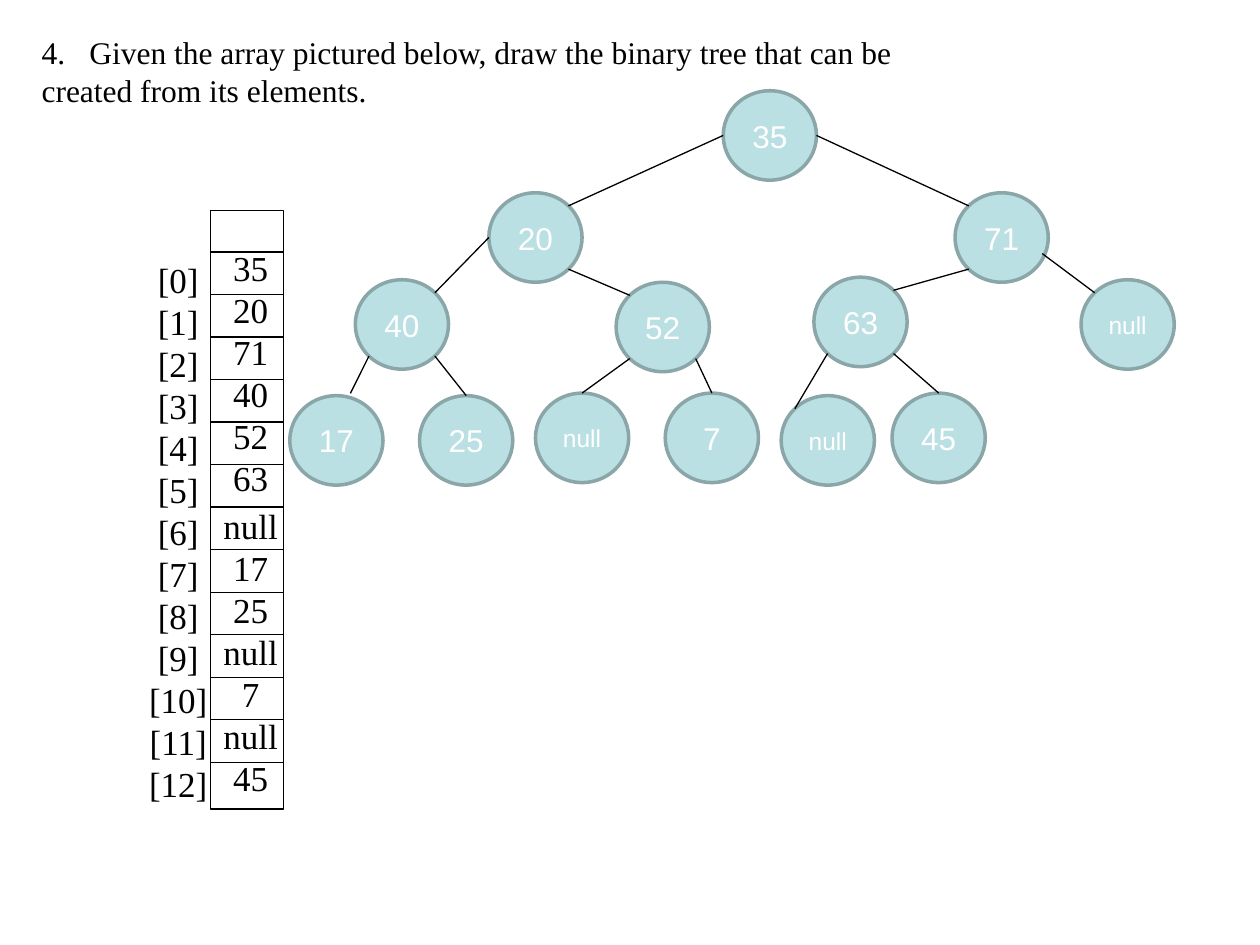
from dataclasses import dataclass
from math import sqrt

from lxml.etree import SubElement
from pptx import Presentation
from pptx.dml.color import RGBColor as Rgb
from pptx.enum.shapes import MSO_CONNECTOR as Connector, MSO_SHAPE as Shape
from pptx.enum.text import MSO_ANCHOR as Anchor, MSO_AUTO_SIZE as AutoSize, PP_ALIGN as Align
from pptx.oxml.ns import qn
from pptx.slide import Slide
from pptx.text.text import TextFrame, _Paragraph as Paragraph
from pptx.util import Inches, Pt


@dataclass(frozen=True)
class Theme:
    ink: Rgb = Rgb(0x00, 0x00, 0x00)
    node_fill: Rgb = Rgb(0xBB, 0xE0, 0xE3)
    node_line: Rgb = Rgb(0x8A, 0xA6, 0xA8)
    node_text: Rgb = Rgb(0xFF, 0xFF, 0xFF)
    serif: str = "Times New Roman"
    sans: str = "Arial"
    title_size: float = 18
    array_size: float = 20
    node_size: float = 18
    null_size: float = 14
    leading: float = 1.2
    thin: float = 0.75
    thick: float = 2


@dataclass(frozen=True)
class Node:
    label: str
    left: float
    top: float

    def site(self, offset: tuple[float, float]) -> tuple[float, float]:
        dx, dy = offset
        return (self.left + NODE_W / 2 * (1 + dx), self.top + NODE_H / 2 * (1 + dy))


@dataclass(frozen=True)
class Edge:
    child: int
    start: tuple[float, float]
    end: tuple[float, float]


THEME = Theme()
NODE_W, NODE_H = 0.74, 0.71
D = 1 / sqrt(2)
TOP, LEFT, RIGHT = (0, -1), (-1, 0), (1, 0)
TOP_LEFT, TOP_RIGHT = (-D, -D), (D, -D)
BOTTOM_LEFT, BOTTOM_RIGHT = (-D, D), (D, D)
LOW_RIGHT, NEAR_TOP = (0.87, 0.36), (0.3, -1.05)

QUESTION = [
    "Given the array pictured below, draw the binary tree that can be",
    "created from its elements.",
]
NODES = [
    Node("35", 5.74, 0.72),
    Node("20", 3.88, 1.53),
    Node("71", 7.58, 1.53),
    Node("40", 2.82, 2.22),
    Node("52", 4.89, 2.24),
    Node("63", 6.46, 2.2),
    Node("null", 8.58, 2.22),
    Node("17", 2.3, 3.14),
    Node("25", 3.33, 3.14),
    Node("null", 4.25, 3.12),
    Node("7", 5.28, 3.12),
    Node("null", 6.2, 3.14),
    Node("45", 7.08, 3.12),
]
EDGES = [
    Edge(1, LEFT, TOP_RIGHT),
    Edge(2, RIGHT, TOP_LEFT),
    Edge(3, LEFT, TOP_RIGHT),
    Edge(4, BOTTOM_RIGHT, TOP_LEFT),
    Edge(5, BOTTOM_LEFT, TOP_RIGHT),
    Edge(6, LOW_RIGHT, TOP_LEFT),
    Edge(7, BOTTOM_LEFT, NEAR_TOP),
    Edge(8, BOTTOM_RIGHT, TOP),
    Edge(9, BOTTOM_LEFT, TOP),
    Edge(10, BOTTOM_RIGHT, TOP),
    Edge(11, BOTTOM_LEFT, TOP_LEFT),
    Edge(12, BOTTOM_RIGHT, TOP),
]
ARRAY_LEFT, ARRAY_TOP, ARRAY_W, ARRAY_H = 1.67, 1.67, 0.58, 4.75
FIRST_RULE, LAST_RULE = 2.0, 6.05


def add_run(p: Paragraph, text: str, font: str, size: float, color: Rgb) -> None:
    r = p.add_run()
    r.text = text
    r.font.name = font
    r.font.size = Pt(size)
    r.font.color.rgb = color


def write_lines(tf: TextFrame, lines: list[str], size: float, align: Align) -> None:
    tf.word_wrap = False
    tf.auto_size = AutoSize.SHAPE_TO_FIT_TEXT
    tf.vertical_anchor = Anchor.TOP
    for i, line in enumerate(lines):
        p = tf.add_paragraph() if i else tf.paragraphs[0]
        p.alignment = align
        p.line_spacing = Pt(size * THEME.leading)
        add_run(p, line, THEME.serif, size, THEME.ink)


def add_line(s: Slide, start: tuple[float, float], end: tuple[float, float]) -> None:
    c = s.shapes.add_connector(Connector.STRAIGHT, *map(Inches, start + end))
    c.line.color.rgb = THEME.ink
    c.line.width = Pt(THEME.thin)
    SubElement(c._element.spPr, qn("a:effectLst"))


def add_question(s: Slide) -> None:
    sp = s.shapes.title
    sp.left, sp.top, sp.width, sp.height = map(Inches, (0.23, 0.21, 7.02, 0.71))
    write_lines(sp.text_frame, QUESTION, THEME.title_size, Align.LEFT)
    pr = sp.text_frame.paragraphs[0]._p.get_or_add_pPr()
    pr.set("marL", str(Inches(0.38)))
    pr.set("indent", str(Inches(-0.38)))
    SubElement(pr, qn("a:buFontTx"))
    SubElement(pr, qn("a:buAutoNum"), type="arabicPeriod", startAt="4")


def add_column(s: Slide, box: tuple[float, ...], lines: list[str]) -> TextFrame:
    tf = s.shapes.add_textbox(*map(Inches, box)).text_frame
    write_lines(tf, lines, THEME.array_size, Align.CENTER)
    return tf


def add_array(s: Slide) -> None:
    box = map(Inches, (ARRAY_LEFT, ARRAY_TOP, ARRAY_W, ARRAY_H))
    sp = s.shapes.add_shape(Shape.RECTANGLE, *box)
    sp.shadow.inherit = False
    sp.fill.background()
    sp.line.color.rgb = THEME.ink
    sp.line.width = Pt(THEME.thin)
    step = (LAST_RULE - FIRST_RULE) / (len(NODES) - 1)
    for i in range(len(NODES)):
        y = FIRST_RULE + i * step
        add_line(s, (ARRAY_LEFT, y), (ARRAY_LEFT + ARRAY_W, y))
    add_column(s, (1.08, 2, 0.67, 4.48), [f"[{i}]" for i in range(len(NODES))])
    labels = [node.label for node in NODES]
    tf = add_column(s, (1.67, 1.91, 0.64, 4.48), labels)
    tf.paragraphs[labels.index("null")].space_before = Pt(3)


def add_node(s: Slide, node: Node) -> None:
    box = map(Inches, (node.left, node.top, NODE_W, NODE_H))
    sp = s.shapes.add_shape(Shape.OVAL, *box)
    sp.shadow.inherit = False
    sp.fill.solid()
    sp.fill.fore_color.rgb = THEME.node_fill
    sp.line.color.rgb = THEME.node_line
    sp.line.width = Pt(THEME.thick)
    tf = sp.text_frame
    tf.word_wrap = False
    tf.vertical_anchor = Anchor.MIDDLE
    p = tf.paragraphs[0]
    p.alignment = Align.CENTER
    size = THEME.null_size if node.label == "null" else THEME.node_size
    add_run(p, node.label, THEME.sans, size, THEME.node_text)


def add_edge(s: Slide, edge: Edge) -> None:
    parent = NODES[(edge.child - 1) // 2]
    add_line(s, parent.site(edge.start), NODES[edge.child].site(edge.end))


def main() -> None:
    prs = Presentation()
    prs.slide_width, prs.slide_height = Inches(10), Inches(7.5)
    s = prs.slides.add_slide(prs.slide_layouts[5])
    add_question(s)
    add_array(s)
    for node in NODES:
        add_node(s, node)
    for edge in EDGES:
        add_edge(s, edge)
    prs.save("out.pptx")


if __name__ == "__main__":
    main()
